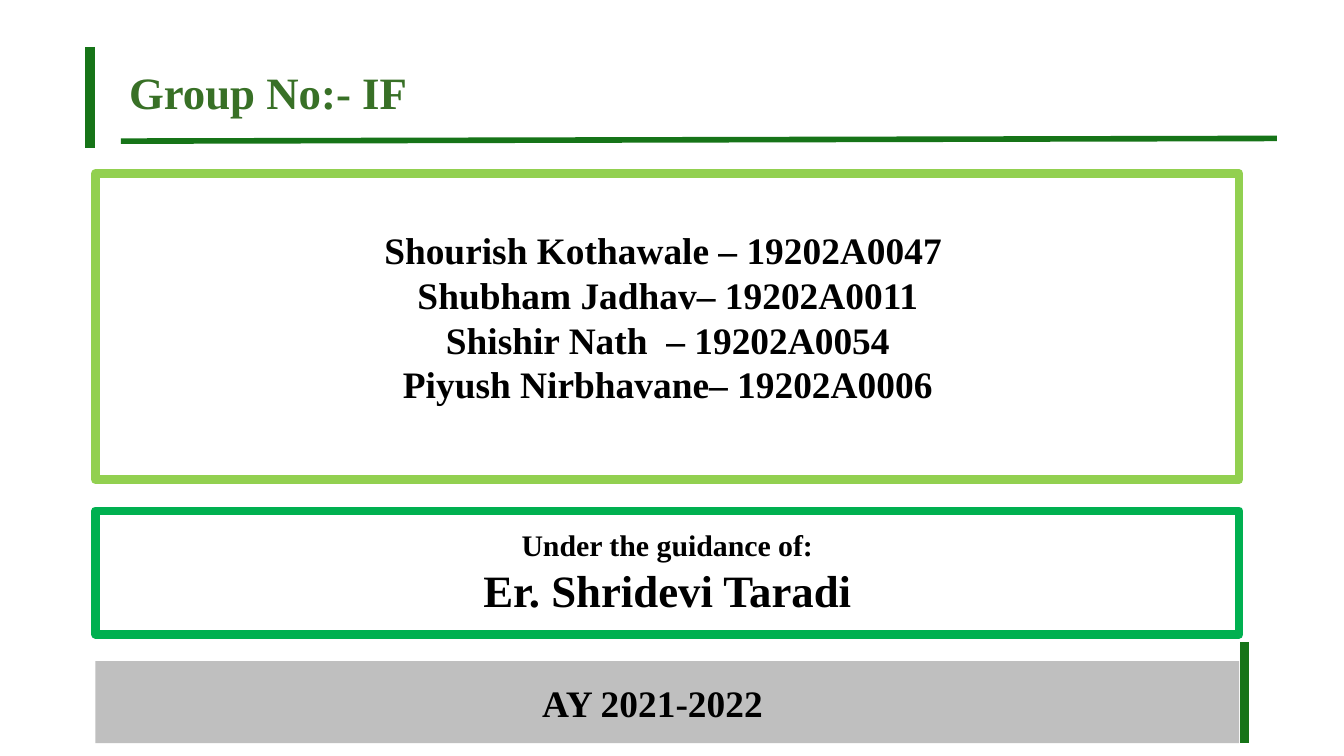
from typing import NamedTuple

from lxml.etree import SubElement
from pptx import Presentation
from pptx.dml.color import RGBColor
from pptx.enum.shapes import MSO_CONNECTOR, MSO_SHAPE
from pptx.enum.text import MSO_ANCHOR, MSO_AUTO_SIZE, PP_ALIGN
from pptx.oxml.ns import qn
from pptx.util import Inches, Pt

FONT = "Times New Roman"
BLACK = RGBColor(0x00, 0x00, 0x00)
TITLE_GREEN = RGBColor(0x38, 0x70, 0x26)
RULE_GREEN = RGBColor(0x16, 0x74, 0x18)
LIME = RGBColor(0x92, 0xD0, 0x50)
GREEN = RGBColor(0x00, 0xB0, 0x50)
GREY = RGBColor(0xBF, 0xBF, 0xBF)

prs = Presentation()
prs.slide_width = Inches(10)
prs.slide_height = prs.slide_width * 9 // 16


def across(percent: float) -> int:
    return round(prs.slide_width * percent / 100)


def down(percent: float) -> int:
    return round(prs.slide_height * percent / 100)


class Box(NamedTuple):
    left: float
    top: float
    width: float
    height: float

    def emu(self) -> tuple:
        return across(self.left), down(self.top), across(self.width), down(self.height)


class Rule(NamedTuple):
    x1: float
    y1: float
    x2: float
    y2: float
    weight: float


class Panel(NamedTuple):
    top: float
    height: float
    fill: RGBColor | None = None
    line: RGBColor | None = None


PANEL_LEFT, PANEL_WIDTH = 7.1, 85.1

RULES = [
    Rule(6.7, 6.22, 6.7, 19.56, 5),
    Rule(92.6, 84.98, 92.6, 98.31, 5),
    Rule(9, 18.67, 95, 18.31, 3),
]
PANELS = [
    Panel(22.93, 40.53, line=LIME),
    Panel(67.56, 16.36, line=GREEN),
    Panel(87.47, 10.84, fill=GREY),
]
MEMBERS = [
    "Shourish Kothawale – 19202A0047 ",
    "Shubham Jadhav– 19202A0011",
    "Shishir Nath  – 19202A0054",
    "Piyush Nirbhavane– 19202A0006",
]


def add_rule(s, rule: Rule) -> None:
    cx = s.shapes.add_connector(
        MSO_CONNECTOR.STRAIGHT,
        across(rule.x1), down(rule.y1), across(rule.x2), down(rule.y2),
    )
    cx.line.color.rgb = RULE_GREEN
    cx.line.width = Pt(rule.weight)
    SubElement(cx._element.spPr, qn("a:effectLst"))


def add_panel(s, panel: Panel) -> None:
    box = Box(PANEL_LEFT, panel.top, PANEL_WIDTH, panel.height)
    sp = s.shapes.add_shape(MSO_SHAPE.RECTANGLE, *box.emu())
    sp.shadow.inherit = False
    if panel.fill is None:
        sp.fill.background()
    else:
        sp.fill.solid()
        sp.fill.fore_color.rgb = panel.fill
    if panel.line is None:
        sp.line.fill.background()
    else:
        sp.line.color.rgb = panel.line
        sp.line.width = Pt(4.5)


def place(sp, box: Box):
    sp.left, sp.top, sp.width, sp.height = box.emu()
    tf = sp.text_frame
    tf.word_wrap = True
    tf.auto_size = MSO_AUTO_SIZE.NONE
    tf.vertical_anchor = MSO_ANCHOR.TOP
    return tf


def write(p, text: str, *, size: float = 20, color: RGBColor = BLACK,
          align: PP_ALIGN = PP_ALIGN.CENTER) -> None:
    p.alignment = align
    p.space_before = Pt(0)
    r = p.add_run()
    r.text = text
    r.font.name = FONT
    r.font.size = Pt(size)
    r.font.bold = True
    r.font.color.rgb = color


def clear_bullet(p) -> None:
    pPr = p._p.get_or_add_pPr()
    pPr.set("marL", "0")
    pPr.set("indent", "0")
    SubElement(pPr, qn("a:buNone"))


def add_text(s, box: Box):
    return place(s.shapes.add_textbox(*box.emu()), box)


def main() -> None:
    s = prs.slides.add_slide(prs.slide_layouts[1])
    for rule in RULES:
        add_rule(s, rule)
    for panel in PANELS:
        add_panel(s, panel)

    tf = place(s.shapes.title, Box(8.6, 7.64, 50.2, 8.89))
    write(tf.paragraphs[0], "Group No:- IF", size=24, color=TITLE_GREEN, align=PP_ALIGN.LEFT)

    tf = place(s.placeholders[1], Box(16.5, 29.16, 66.4, 25.78))
    for i, member in enumerate(MEMBERS):
        p = tf.add_paragraph() if i else tf.paragraphs[0]
        write(p, member)
        clear_bullet(p)

    tf = add_text(s, Box(16.6, 68.8, 66.1, 13.69))
    write(tf.paragraphs[0], "Under the guidance of:", size=16)
    write(tf.add_paragraph(), "Er. Shridevi Taradi", size=24)

    tf = add_text(s, Box(18.6, 89.07, 59.9, 7.82))
    write(tf.paragraphs[0], "AY 2021-2022")

    prs.save("out.pptx")


if __name__ == "__main__":
    main()
